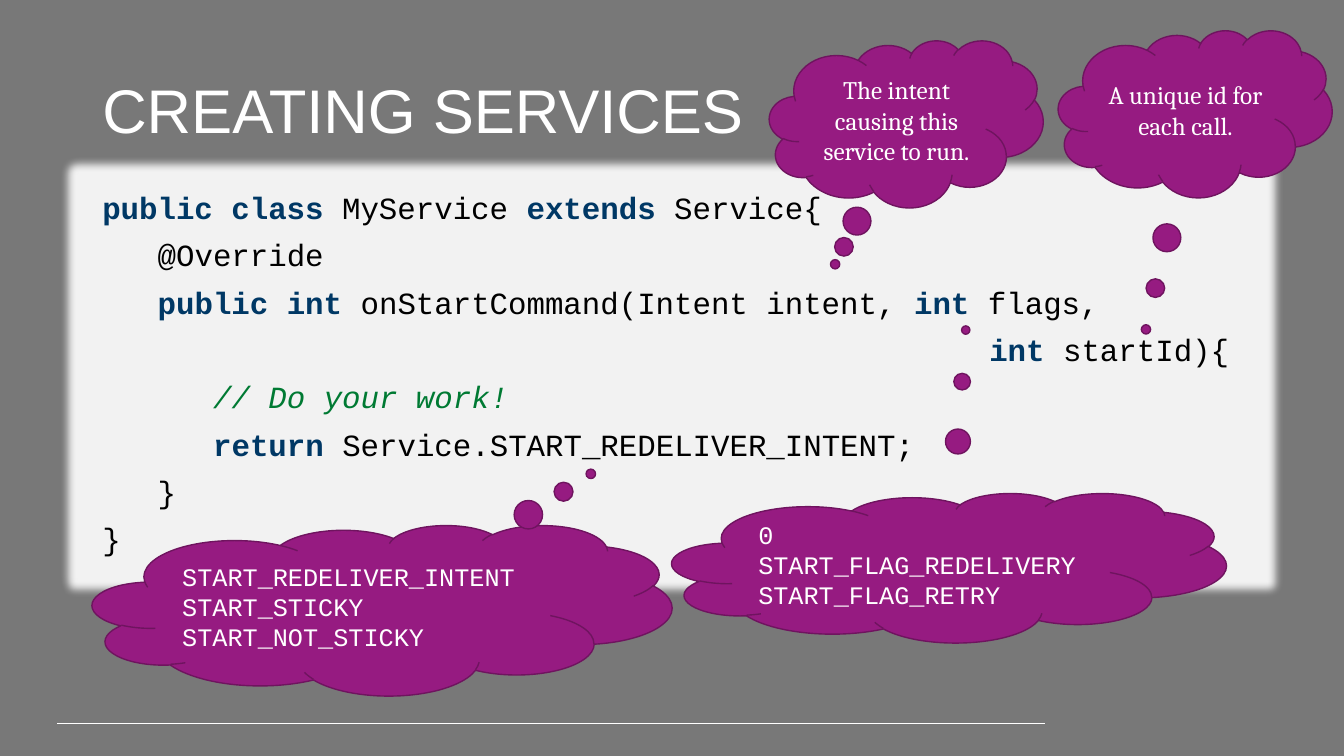
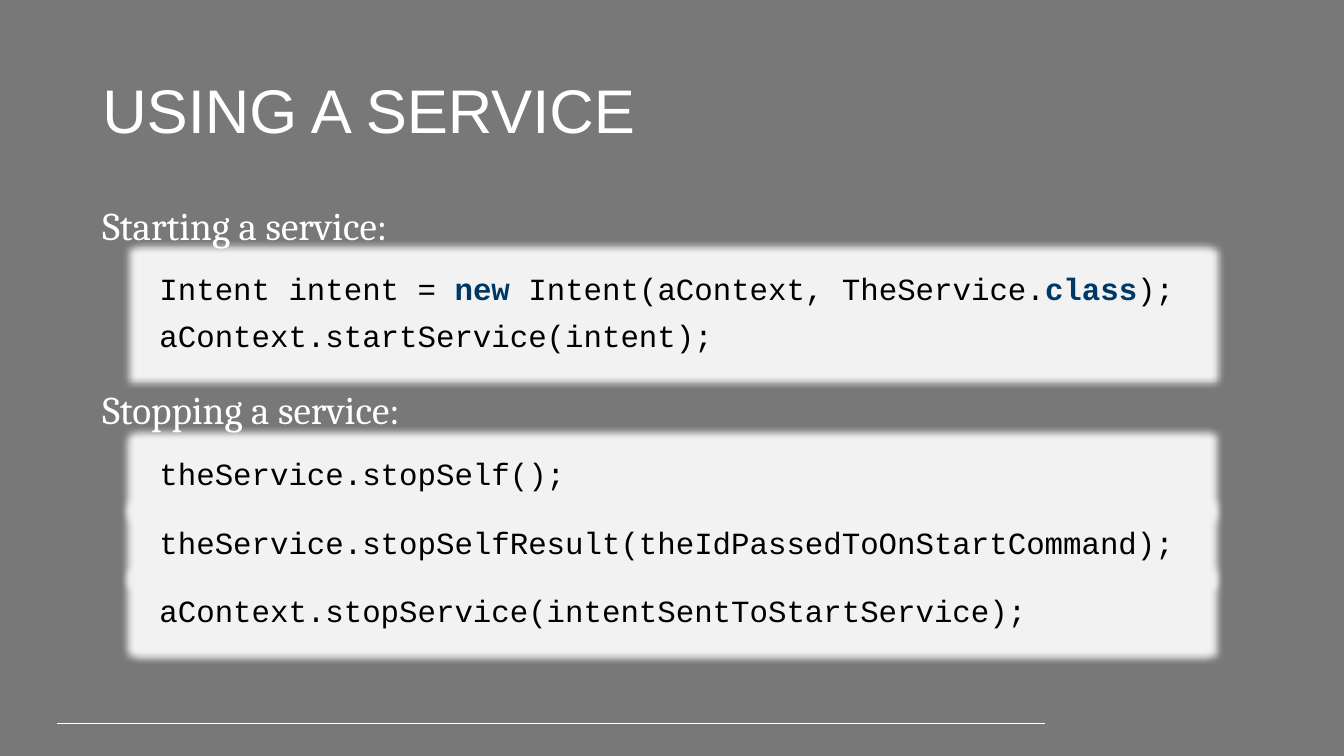
"""Build two slides on creating and using services."""
from dataclasses import dataclass
from typing import Any, NamedTuple

from lxml import etree
from pptx import Presentation
from pptx import util as u
from pptx.dml import color
from pptx.enum import shapes, text
from pptx.oxml import ns

COLS, ROWS = 160, 90
CELL = u.Inches(1) / 12
GRAY, PANEL, WHITE = "787878", "F2F2F2", "FFFFFF"
PURPLE, PLUM = "961B81", "6F145F"
CODE_SIZE = 22
CHAR_WIDTH = u.Pt(CODE_SIZE * 0.6)
GLOW = u.Pt(11)
LEFT, CENTER = text.PP_ALIGN.LEFT, text.PP_ALIGN.CENTER
TOP, MIDDLE = text.MSO_ANCHOR.TOP, text.MSO_ANCHOR.MIDDLE

CODE = {"name": "Courier New", "size": u.Pt(CODE_SIZE), "color": "000000"}
KEYWORD = CODE | {"color": "003865", "bold": True}
COMMENT = CODE | {"color": "007A33", "italic": True}
TITLE = {"name": "Arial", "size": u.Pt(44), "color": WHITE}
HEADING = {"name": "Cambria", "size": u.Pt(28), "color": WHITE}
NOTE = HEADING | {"size": u.Pt(18)}
CONSTANT = NOTE | {"name": "Courier New"}
TIGHT = {"line_spacing": 0.9, "alignment": LEFT}
SPACED = TIGHT | {"space_before": u.Pt(10)}


class Box(NamedTuple):
    left: float
    top: float
    width: float
    height: float


class Span(NamedTuple):
    text: str
    font: dict[str, Any] = CODE


@dataclass
class Line:
    spans: list[Span]
    indent: int = 0


@dataclass
class Panel:
    box: Box
    lines: list[Line]


@dataclass
class Heading:
    box: Box
    label: str


@dataclass
class Cloud:
    box: Box
    tail: tuple[float, float]
    lines: list[str]
    font: dict[str, Any]
    align: Any


def rgb(value: str) -> color.RGBColor:
    return color.RGBColor.from_string(value)


def emu(*cells: float) -> list[int]:
    return [round(c * CELL) for c in cells]


def assign(target: Any, values: dict[str, Any]) -> None:
    for name, value in values.items():
        setattr(target, name, value)


def plain(words: str, font: dict[str, Any]) -> Line:
    return Line([Span(words, font)])


def write(sp: Any, lines: list[Line], layout: dict[str, Any], anchor: Any, grow: bool) -> None:
    tf = sp.text_frame
    fit = text.MSO_AUTO_SIZE.SHAPE_TO_FIT_TEXT if grow else text.MSO_AUTO_SIZE.NONE
    assign(tf, {"word_wrap": True, "vertical_anchor": anchor, "auto_size": fit})
    for i, line in enumerate(lines):
        p = tf.add_paragraph() if i else tf.paragraphs[0]
        assign(p, layout)
        if line.indent:
            p._p.get_or_add_pPr().set("marL", str(line.indent * CHAR_WIDTH))
        for span in line.spans:
            r = p.add_run()
            r.text = span.text
            assign(r.font, {k: v for k, v in span.font.items() if k != "color"})
            r.font.color.rgb = rgb(span.font["color"])


def add_filled(s: Any, kind: Any, box: Box, fill: str) -> Any:
    sp = s.shapes.add_shape(kind, *emu(*box))
    sp.shadow.inherit = False
    sp.fill.solid()
    sp.fill.fore_color.rgb = rgb(fill)
    sp.line.fill.background()
    return sp


def add_text(s: Any, box: Box, line: Line, layout: dict[str, Any], anchor: Any, grow: bool) -> None:
    write(s.shapes.add_textbox(*emu(*box)), [line], layout, anchor, grow)


def add_panel(s: Any, panel: Panel) -> None:
    sp = add_filled(s, shapes.MSO_SHAPE.RECTANGLE, panel.box, PANEL)
    effects = sp._element.spPr.find(ns.qn("a:effectLst"))
    glow = etree.SubElement(effects, ns.qn("a:glow"), rad=str(GLOW))
    etree.SubElement(glow, ns.qn("a:srgbClr"), val=PANEL)
    write(sp, panel.lines, SPACED, TOP, True)


def add_heading(s: Any, heading: Heading) -> None:
    add_text(s, heading.box, plain(heading.label, HEADING), SPACED, TOP, True)


def add_cloud(s: Any, cloud: Cloud) -> None:
    sp = add_filled(s, shapes.MSO_SHAPE.CLOUD_CALLOUT, cloud.box, PURPLE)
    sp.line.color.rgb = rgb(PLUM)
    sp.line.width = u.Pt(1)
    for i, value in enumerate(cloud.tail):
        sp.adjustments[i] = value
    lines = [plain(words, cloud.font) for words in cloud.lines]
    write(sp, lines, {"alignment": cloud.align}, MIDDLE, False)


def add_rule(s: Any) -> None:
    rule = s.shapes.add_connector(shapes.MSO_CONNECTOR.STRAIGHT, *emu(6.8, 86.1, 124.4, 86.1))
    rule.line.color.rgb = rgb(WHITE)
    rule.line.width = u.Pt(0.75)
    etree.SubElement(rule._element.spPr, ns.qn("a:effectLst"))


DRAW = {Panel: add_panel, Heading: add_heading, Cloud: add_cloud}


def add_slide(prs: Any, title: str, items: list[Any]) -> None:
    s = prs.slides.add_slide(prs.slide_layouts[6])
    s.background.fill.solid()
    s.background.fill.fore_color.rgb = rgb(GRAY)
    add_rule(s)
    add_text(s, Box(11, 4.8, 138, 17.4), plain(title, TITLE), TIGHT, MIDDLE, False)
    for item in items:
        DRAW[type(item)](s, item)


def stop_panel(row: int, call: str) -> Panel:
    return Panel(Box(17.8, 54.1 + 8.1 * row, 124.4, 5.3), [plain(call, CODE)])


SERVICE_CLASS = [
    Line([Span("public class ", KEYWORD), Span("MyService "),
          Span("extends", KEYWORD), Span(" Service{")]),
    Line([Span("@Override")], 3),
    Line([Span("public int", KEYWORD), Span(" onStartCommand(Intent intent, "),
          Span("int", KEYWORD), Span(" flags,")], 3),
    Line([Span("int", KEYWORD), Span(" startId){")], 48),
    Line([Span("// Do your work!", COMMENT)], 6),
    Line([Span("return ", KEYWORD), Span("Service.START_REDELIVER_INTENT;")], 6),
    Line([Span("}")], 3),
    Line([Span("}")]),
]
START_CALL = [
    Line([Span("Intent intent = "), Span("new", KEYWORD),
          Span(" Intent(aContext, TheService."), Span("class", KEYWORD), Span(");")]),
    Line([Span("aContext.startService(intent);")]),
]
CREATING = [
    Panel(Box(11, 22.4, 138, 45), SERVICE_CLASS),
    Cloud(Box(91.6, 4.8, 32.6, 19.9), (-0.26, 0.84),
          ["The intent causing this service to run."], NOTE, CENTER),
    Cloud(Box(11, 62.5, 69, 20.3), (0.36, -0.8),
          ["START_REDELIVER_INTENT", "START_STICKY", "START_NOT_STICKY"], CONSTANT, LEFT),
    Cloud(Box(80, 58.7, 66, 17.8), (0.03, -1.59),
          ["0", "START_FLAG_REDELIVERY", "START_FLAG_RETRY"], CONSTANT, LEFT),
    Cloud(Box(126, 3.6, 32.6, 19.9), (-0.18, 1.29),
          ["A unique id for each call."], NOTE, CENTER),
]
USING = [
    Panel(Box(17.8, 32, 124.4, 11), START_CALL),
    stop_panel(0, "theService.stopSelf();"),
    stop_panel(1, "theService.stopSelfResult(theIdPassedToOnStartCommand);"),
    stop_panel(2, "aContext.stopService(intentSentToStartService);"),
    Heading(Box(11, 24, 138, 6.4), "Starting a service:"),
    Heading(Box(11, 45.9, 138, 6.4), "Stopping a service:"),
]

prs = Presentation()
prs.slide_width, prs.slide_height = emu(COLS, ROWS)
add_slide(prs, "CREATING SERVICES", CREATING)
add_slide(prs, "USING A SERVICE", USING)
prs.save("out.pptx")
